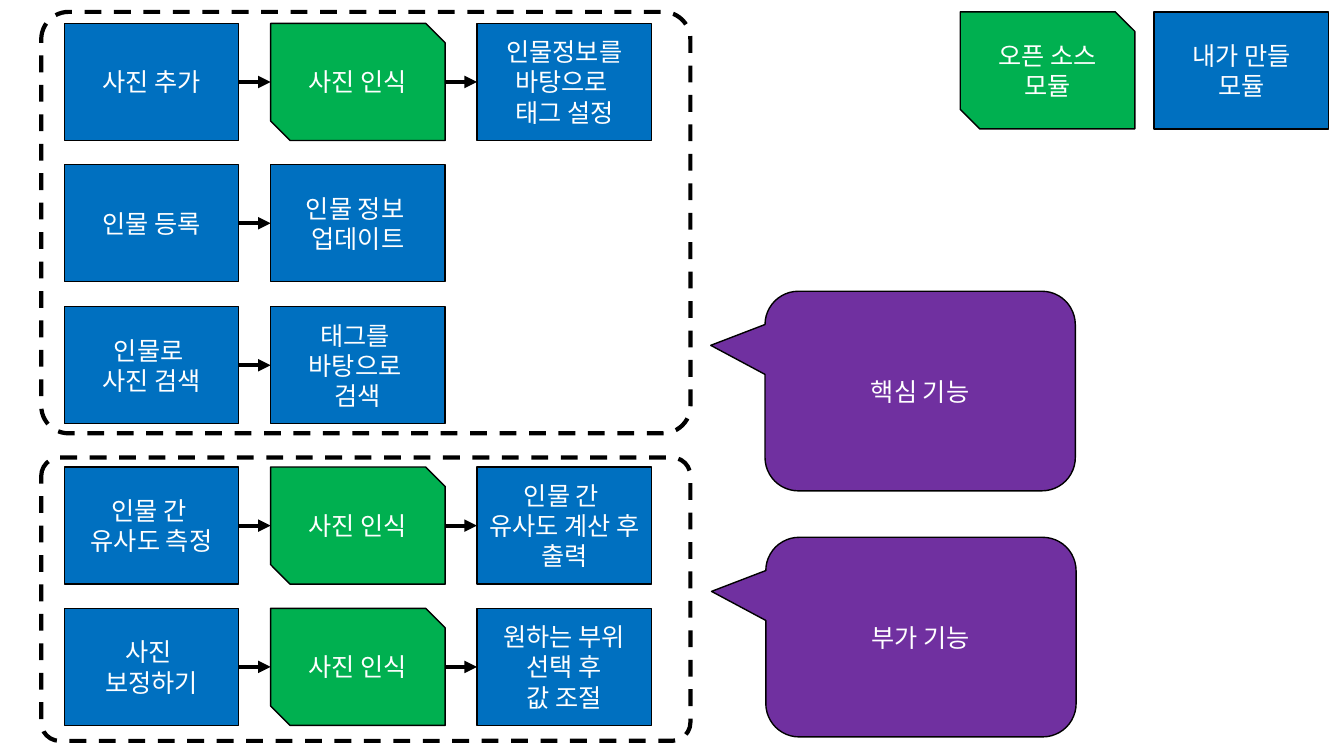
from pptx import Presentation
from pptx.dml.color import RGBColor
from pptx.enum.dml import MSO_LINE
from pptx.enum.shapes import MSO_CONNECTOR, MSO_SHAPE
from pptx.enum.text import MSO_ANCHOR, PP_ALIGN
from pptx.oxml.ns import qn
from pptx.util import Cm, Pt
from lxml.etree import SubElement

FONT = "Noto Sans CJK KR"
BLUE, GREEN, PURPLE = "0070C0", "00B050", "7030A0"
BOX_W, BOX_H = 4.4, 2.95

prs = Presentation()
prs.slide_width, prs.slide_height = Cm(33.87), Cm(19.05)
s = prs.slides.add_slide(prs.slide_layouts[6])


def rgb(value):
    return RGBColor.from_string(value)


def add_box(text, x, y, w=BOX_W, h=BOX_H, kind=MSO_SHAPE.RECTANGLE,
            fill=None, line=1, dash=None, adj=(), size=18, color="FFFFFF"):
    sp = s.shapes.add_shape(kind, Cm(x), Cm(y), Cm(w), Cm(h))
    sp.shadow.inherit = False
    for i, value in enumerate(adj):
        sp.adjustments[i] = value
    if fill:
        sp.fill.solid()
        sp.fill.fore_color.rgb = rgb(fill)
    else:
        sp.fill.background()
    sp.line.color.rgb = rgb("000000")
    sp.line.width = Pt(line)
    if dash:
        sp.line.dash_style = dash
    if text:
        tf = sp.text_frame
        tf.word_wrap = True
        tf.vertical_anchor = MSO_ANCHOR.MIDDLE
        for i, part in enumerate(text.split("\n")):
            p = tf.paragraphs[0] if i == 0 else tf.add_paragraph()
            p.alignment = PP_ALIGN.CENTER
            r = p.add_run()
            r.text = part
            r.font.size = Pt(size)
            r.font.name = FONT
            r.font.color.rgb = rgb(color)
            SubElement(r.font._element, qn("a:ea")).set("typeface", FONT)
    return sp


for y, h in [(0.3, 10.62), (11.53, 7.14)]:
    add_box("", 1.04, y, 16.36, h, kind=MSO_SHAPE.ROUNDED_RECTANGLE,
            line=3, dash=MSO_LINE.DASH, adj=[0.065])

SNIP = {"kind": MSO_SHAPE.SNIP_2_DIAG_RECTANGLE, "fill": GREEN}
RECT = {"fill": BLUE}
RECOGNITION = "사진 인식"
flows = [
    (0.59, ["사진 추가", RECOGNITION, "인물정보를 바탕으로 \n태그 설정"]),
    (4.15, ["인물 등록", "인물 정보 \n업데이트"]),
    (7.73, ["인물로 \n사진 검색", "태그를 \n바탕으로 \n검색"]),
    (11.77, ["인물 간 \n유사도 측정", RECOGNITION, "인물 간 \n유사도 계산 후 출력"]),
    (15.33, ["사진 \n보정하기", RECOGNITION, "원하는 부위 선택 후\n값 조절"]),
]
for y, steps in flows:
    boxes = [add_box(text, 1.62 + 5.2 * i, y,
                     **(SNIP if text == RECOGNITION else RECT))
             for i, text in enumerate(steps)]
    for a, b in zip(boxes, boxes[1:]):
        c = s.shapes.add_connector(
            MSO_CONNECTOR.STRAIGHT, a.left + a.width, a.top + a.height // 2,
            b.left, b.top + b.height // 2)
        c.line.color.rgb = rgb("000000")
        c.line.width = Pt(3)
        SubElement(c.line._get_or_add_ln(), qn("a:tailEnd")).set("type", "triangle")
        SubElement(c._element.spPr, qn("a:effectLst"))

for text, x, y in [("핵심 기능", 19.28, 7.34), ("부가 기능", 19.3, 13.54)]:
    add_box(text, x, y, 7.82, 5.03, kind=MSO_SHAPE.ROUNDED_RECTANGULAR_CALLOUT,
            fill=PURPLE, adj=[-0.675, -0.229, 0.167])

add_box("오픈 소스\n모듈", 24.2, 0.3, **SNIP)
add_box("내가 만들\n모듈", 29.08, 0.3, **RECT)

prs.save("out.pptx")
